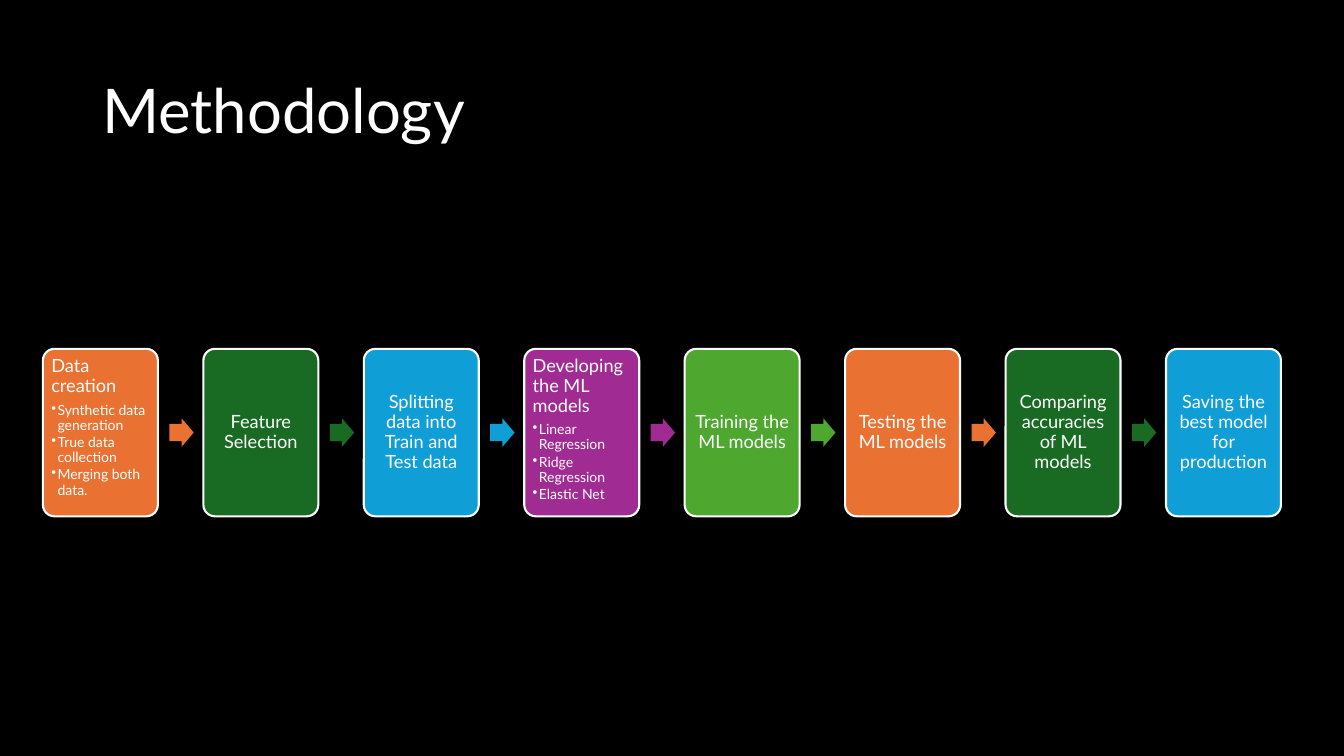
from dataclasses import dataclass
from itertools import cycle

from lxml import etree
from pptx import Presentation
from pptx.dml.color import RGBColor
from pptx.enum.shapes import MSO_SHAPE
from pptx.enum.text import MSO_ANCHOR, PP_ALIGN
from pptx.oxml.ns import qn
from pptx.util import Pt

ROUNDED, ARROW = MSO_SHAPE.ROUNDED_RECTANGLE, MSO_SHAPE.RIGHT_ARROW
TOP, MIDDLE = MSO_ANCHOR.TOP, MSO_ANCHOR.MIDDLE
LEFT, CENTER = PP_ALIGN.LEFT, PP_ALIGN.CENTER


@dataclass(frozen=True)
class Theme:
    """Colours, font and type sizes of the deck."""
    font: str = "Lato"
    background: str = "000000"
    text: str = "FFFFFF"
    outline: str = "FFFFFF"
    steps: tuple = ("E97132", "196B24", "0F9ED5", "A02B93", "4EA72E")
    title: float = 44
    heading: float = 13
    detail: float = 10


FRAME_FORMAT = {
    "word_wrap": True,
    "margin_left": Pt(3.6), "margin_right": Pt(3.6),
    "margin_top": Pt(3.6), "margin_bottom": Pt(3.6),
}
TITLE_FRAME = {"margin_left": Pt(7.2), "margin_right": Pt(7.2)}
HEADING_FORMAT = {"line_spacing": 0.9, "space_after": Pt(4.55)}
DETAIL_FORMAT = {"line_spacing": 0.9, "space_after": Pt(1.5), "alignment": LEFT, "level": 1}
TITLE_FORMAT = {"line_spacing": 0.9, "alignment": LEFT}

STEPS = [
    ("Data creation",
     ["Synthetic data generation", "True data collection", "Merging both data."]),
    ("Feature Selection", []),
    ("Splitting data into Train and Test data", []),
    ("Developing the ML models",
     ["Linear Regression", "Ridge Regression", "Elastic Net"]),
    ("Training the ML models", []),
    ("Testing the ML models", []),
    ("Comparing accuracies of ML models", []),
    ("Saving the best model for production", []),
]
FIRST_LEFT, PITCH = 30.7, 114.6
BOX_TOP, BOX_WIDTH, BOX_HEIGHT = 249.2, 82.1, 119.6
ARROW_OFFSET, ARROW_WIDTH, ARROW_HEIGHT = 90.3, 17.4, 20.4


def assign(target, values):
    """Set attributes of an object from a dict."""
    for name, value in values.items():
        setattr(target, name, value)


class SlideBuilder:
    """Draws elements on one slide in one theme."""

    def __init__(self, page, theme):
        """Keep the page and theme, and paint the background."""
        self.page, self.theme = page, theme
        self.paint(page.background.fill, theme.background)

    def paint(self, fill, color):
        """Give a fill one solid colour."""
        fill.solid()
        fill.fore_color.rgb = RGBColor.from_string(color)

    def shape(self, kind, bounds, color, adjustments):
        """Add a filled preset shape without outline or shadow."""
        shape = self.page.shapes.add_shape(kind, *map(Pt, bounds))
        shape.shadow.inherit = False
        for index, value in enumerate(adjustments):
            shape.adjustments[index] = value
        self.paint(shape.fill, color)
        shape.line.fill.background()
        return shape

    def add_text(self, para, text, size, values):
        """Add one formatted span to a paragraph."""
        assign(para, values)
        span = para.add_run()
        span.text = text
        assign(span.font, {"name": self.theme.font, "size": Pt(size)})
        span.font.color.rgb = RGBColor.from_string(self.theme.text)

    def bullet(self, para):
        """Give a paragraph a hanging bullet."""
        properties = para._p.get_or_add_pPr()
        properties.set("marL", str(Pt(4.5)))
        properties.set("indent", str(-Pt(4.5)))
        etree.SubElement(properties, qn("a:buChar")).set("char", "•")

    def title(self, text, bounds):
        """Add the slide title."""
        frame = self.page.shapes.add_textbox(*map(Pt, bounds)).text_frame
        assign(frame, FRAME_FORMAT | TITLE_FRAME | {"vertical_anchor": MIDDLE})
        self.add_text(frame.paragraphs[0], text, self.theme.title, TITLE_FORMAT)

    def step(self, left, color, heading, details):
        """Add a step box with its heading and bulleted details."""
        bounds = (left, BOX_TOP, BOX_WIDTH, BOX_HEIGHT)
        box = self.shape(ROUNDED, bounds, color, [0.1])
        self.paint(box.line.fill, self.theme.outline)
        box.line.width = Pt(1.5)
        frame = box.text_frame
        anchor, alignment = (TOP, LEFT) if details else (MIDDLE, CENTER)
        assign(frame, FRAME_FORMAT | {"vertical_anchor": anchor})
        self.add_text(frame.paragraphs[0], heading, self.theme.heading,
                      HEADING_FORMAT | {"alignment": alignment})
        for detail in details:
            para = frame.add_paragraph()
            self.add_text(para, detail, self.theme.detail, DETAIL_FORMAT)
            self.bullet(para)

    def arrow(self, left, color):
        """Add an arrow centred on the height of the boxes."""
        top = BOX_TOP + (BOX_HEIGHT - ARROW_HEIGHT) / 2
        self.shape(ARROW, (left, top, ARROW_WIDTH, ARROW_HEIGHT), color, [0.6, 0.5])


def main():
    """Build and save the methodology slide."""
    deck = Presentation()
    assign(deck, {"slide_width": Pt(960), "slide_height": Pt(540)})
    theme = Theme()
    builder = SlideBuilder(deck.slides.add_slide(deck.slide_layouts[6]), theme)
    for index, ((heading, details), color) in enumerate(zip(STEPS, cycle(theme.steps))):
        left = FIRST_LEFT + index * PITCH
        builder.step(left, color, heading, details)
        if index < len(STEPS) - 1:
            builder.arrow(left + ARROW_OFFSET, color)
    builder.title("Methodology", (66, 28.75, 828, 104.4))
    deck.save("out.pptx")


if __name__ == "__main__":
    main()
